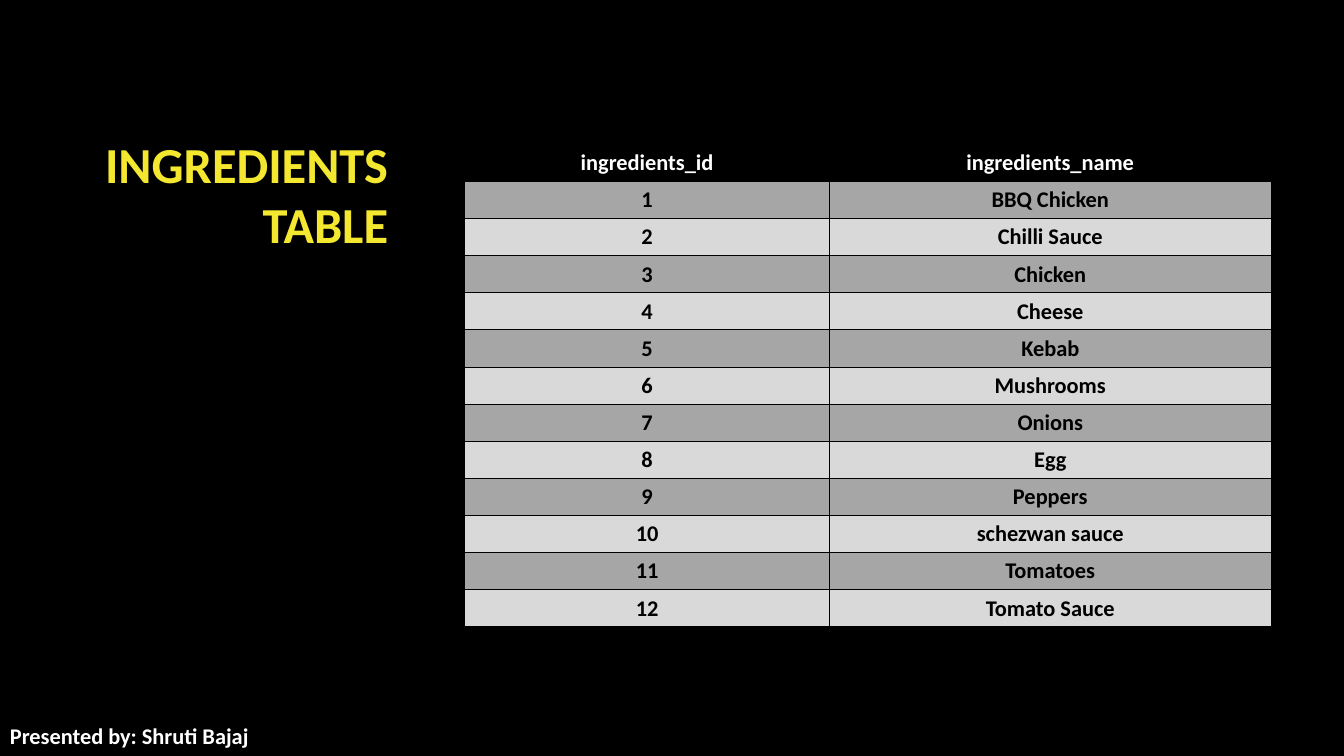
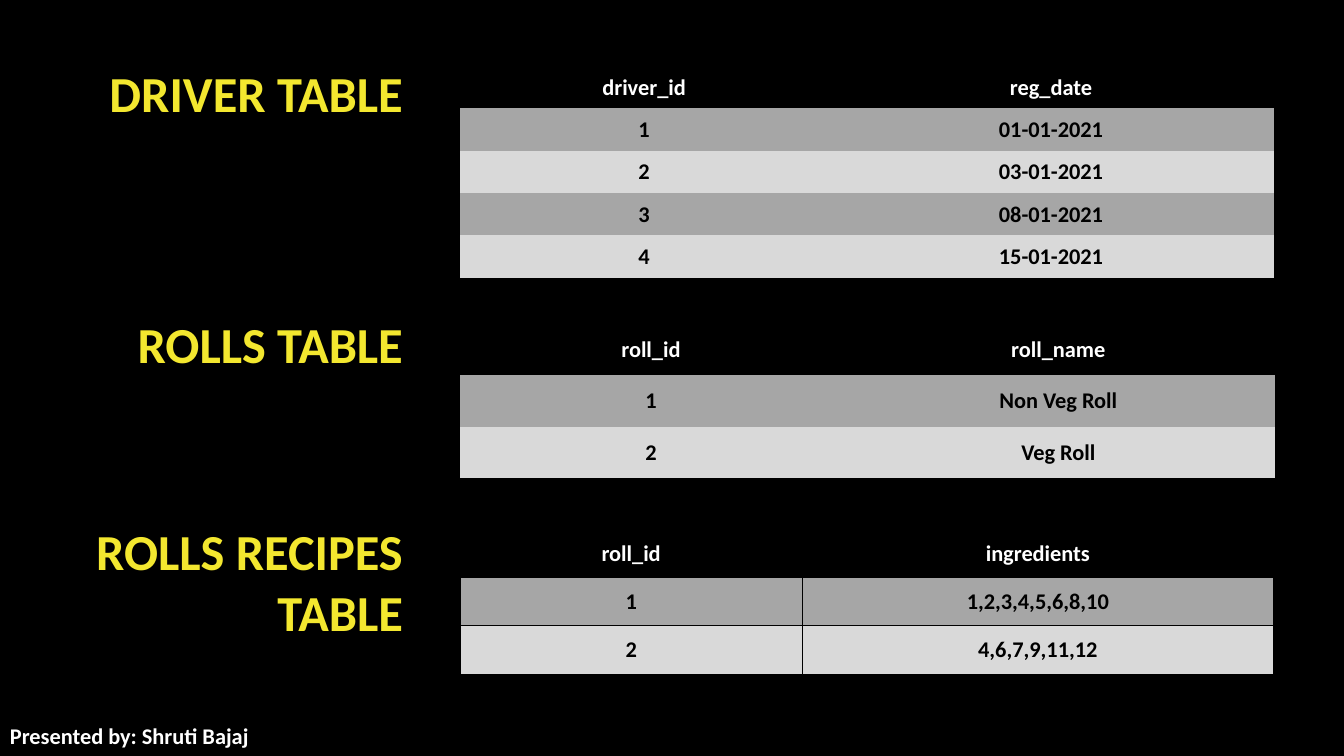
"""Build two slides of database tables with yellow headings on black."""
import lxml.etree
import pptx
import pptx.dml.color
import pptx.enum.text
import pptx.oxml.ns
import pptx.util

Pt = pptx.util.Pt
ALIGN = pptx.enum.text.PP_ALIGN
MIDDLE = pptx.enum.text.MSO_ANCHOR.MIDDLE
BLACK = pptx.dml.color.RGBColor(0x00, 0x00, 0x00)
WHITE = pptx.dml.color.RGBColor(0xFF, 0xFF, 0xFF)
YELLOW = pptx.dml.color.RGBColor(0xF3, 0xE7, 0x2F)
DARK_BAND = pptx.dml.color.RGBColor(0xA6, 0xA6, 0xA6)
LIGHT_BAND = pptx.dml.color.RGBColor(0xD9, 0xD9, 0xD9)
FONT = "Calibri"
PLAIN_TABLE_STYLE = "{2D5ABB26-0587-4C30-8999-92F81FD0307C}"
TITLE_ONLY = 5

INGREDIENTS = ["BBQ Chicken", "Chilli Sauce", "Chicken", "Cheese", "Kebab",
               "Mushrooms", "Onions", "Egg", "Peppers", "schezwan sauce",
               "Tomatoes", "Tomato Sauce"]
REG_DATES = ["01-01-2021", "03-01-2021", "08-01-2021", "15-01-2021"]
ROLLS = ["Non Veg Roll", "Veg Roll"]
RECIPES = ["1,2,3,4,5,6,8,10", "4,6,7,9,11,12"]


def write(frame, text, size, color, align):
    """Fill a text frame with bold text in one style."""
    frame.text = text
    for paragraph in frame.paragraphs:
        paragraph.alignment = align
        for run in paragraph.runs:
            font = run.font
            font.name, font.size, font.bold = FONT, Pt(size), True
            font.color.rgb = color


def write_box(box, text, size, color, align):
    """Write wrapped, vertically centred text into a box of fixed size."""
    frame = box.text_frame
    frame.word_wrap = True
    frame.auto_size = pptx.enum.text.MSO_AUTO_SIZE.NONE
    frame.vertical_anchor = MIDDLE
    write(frame, text, size, color, align)


def add_text_box(slide, area):
    """Add an empty text box covering the area."""
    return slide.shapes.add_textbox(*map(Pt, area))


def style_heading(box, text):
    """Give a box the shared heading style."""
    write_box(box, text, 36, YELLOW, ALIGN.RIGHT)


def add_slide(deck, title, area):
    """Add a slide with its title and the presenter line."""
    slide = deck.slides.add_slide(deck.slide_layouts[TITLE_ONLY])
    heading = slide.shapes.title
    heading.left, heading.top, heading.width, heading.height = map(Pt, area)
    style_heading(heading, title)
    presenter = add_text_box(slide, (0, 510.5, 616, 29.5))
    write_box(presenter, "Presented by: Shruti Bajaj", 16, WHITE, ALIGN.LEFT)
    return slide


def add_cell_borders(cell):
    """Draw thin black borders on all sides of a cell."""
    properties = cell._tc.get_or_add_tcPr()
    qn = pptx.oxml.ns.qn
    for side in ("a:lnL", "a:lnR", "a:lnT", "a:lnB"):
        line = lxml.etree.SubElement(properties, qn(side), w=str(Pt(0.5)))
        fill = lxml.etree.SubElement(line, qn("a:solidFill"))
        lxml.etree.SubElement(fill, qn("a:srgbClr"), val=str(BLACK))


def fill_cell(cell, text, background, color, bordered):
    """Write and format one table cell."""
    cell.margin_left = cell.margin_right = cell.margin_top = Pt(0.5)
    cell.margin_bottom = Pt(0)
    cell.vertical_anchor = MIDDLE
    if bordered:
        add_cell_borders(cell)
    cell.fill.solid()
    cell.fill.fore_color.rgb = background
    write(cell.text_frame, text, 16, color, ALIGN.CENTER)


def add_id_table(slide, position, widths, row_height, header, values,
                 bordered=False):
    """Add a banded table that numbers its values from one."""
    rows = [header] + [(str(n), value) for n, value in enumerate(values, 1)]
    left, top = position
    table = slide.shapes.add_table(
        len(rows), len(widths), Pt(left), Pt(top),
        Pt(sum(widths)), Pt(row_height * len(rows))).table
    table.horz_banding = False
    style = table._tbl.tblPr.find(pptx.oxml.ns.qn("a:tableStyleId"))
    style.text = PLAIN_TABLE_STYLE
    for column, width in zip(table.columns, widths):
        column.width = Pt(width)
    for index, row in enumerate(rows):
        table.rows[index].height = Pt(row_height)
        if index == 0:
            background, color = BLACK, WHITE
        else:
            background, color = (DARK_BAND if index % 2 else LIGHT_BAND), BLACK
        for cell, text in zip(table.rows[index].cells, row):
            fill_cell(cell, text, background, color, bordered)


def add_ingredients_slide(deck):
    """Add the slide listing all ingredients."""
    slide = add_slide(deck, "INGREDIENTS TABLE", (3, 86, 281.5, 104))
    add_id_table(slide, (332, 103), (260.5, 315.5), 26.53,
                 ("ingredients_id", "ingredients_name"), INGREDIENTS, True)


def add_rolls_slide(deck):
    """Add the slide with drivers, rolls and roll recipes."""
    slide = add_slide(deck, "DRIVER TABLE", (28, 34.5, 267, 63))
    add_id_table(slide, (328.7, 47), (262.8, 318.5), 30.3,
                 ("driver_id", "reg_date"), REG_DATES)
    style_heading(add_text_box(slide, (22, 209, 273, 73)), "ROLLS TABLE")
    add_id_table(slide, (328.5, 231.3), (273, 309), 36.7,
                 ("roll_id", "roll_name"), ROLLS)
    style_heading(add_text_box(slide, (25, 378, 270, 73.5)),
                  "ROLLS RECIPES\nTABLE")
    add_id_table(slide, (328.7, 378), (244.3, 336.7), 34.5,
                 ("roll_id", "ingredients"), RECIPES, True)


def main():
    """Build and save the deck."""
    deck = pptx.Presentation()
    deck.slide_width, deck.slide_height = Pt(960), Pt(540)
    backdrop = deck.slide_master.background.fill
    backdrop.solid()
    backdrop.fore_color.rgb = BLACK
    add_ingredients_slide(deck)
    add_rolls_slide(deck)
    deck.save("out.pptx")


if __name__ == "__main__":
    main()
